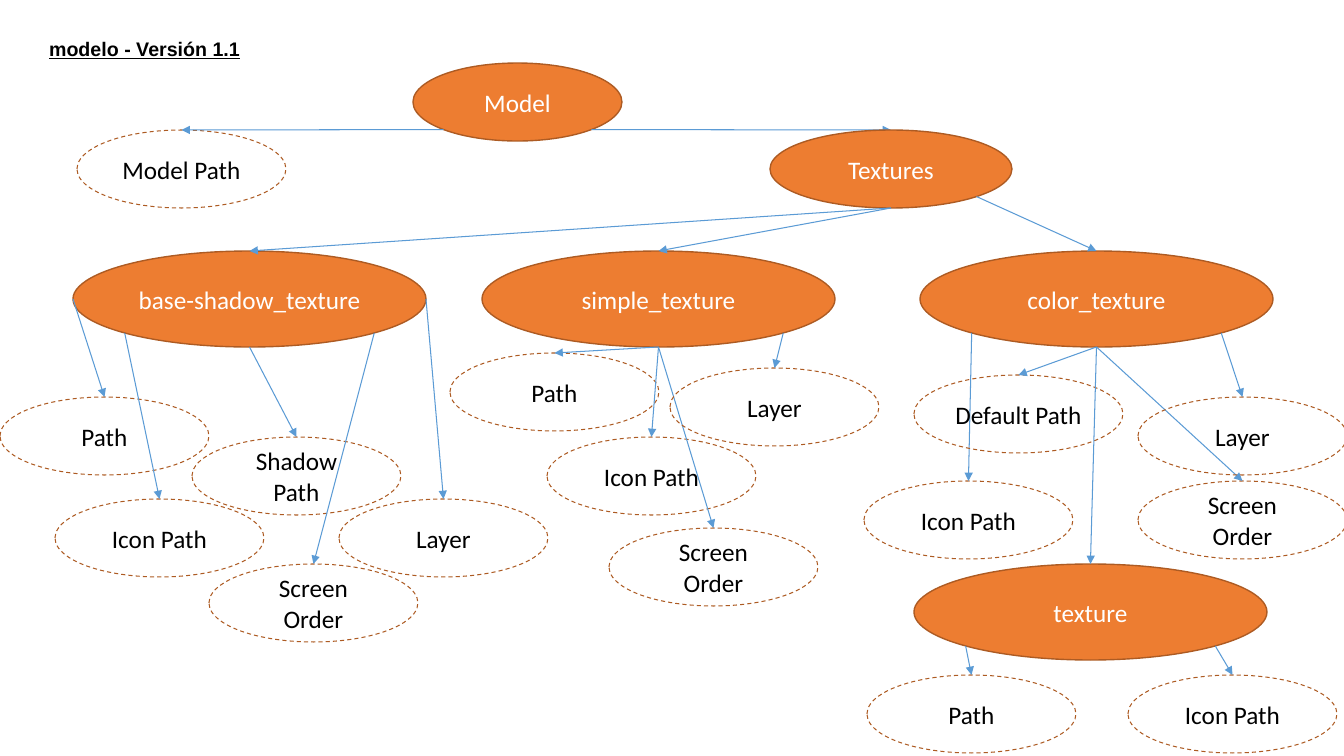
import math
import pptx
import pptx.util
import pptx.dml.color
import pptx.enum.dml
import pptx.enum.shapes
import pptx.enum.text
import pptx.oxml.ns
import lxml.etree

SCALE = 914400 / 100.8
ORANGE, RUST, BLUE = "ED7D31", "AD5B23", "5B9BD5"
BLACK, WHITE = "000000", "FFFFFF"
LEAF_SIZE = (209, 78)
TEXTURE_SIZE = (353, 96)
TOP, BOTTOM, LEFT, RIGHT = (0, -1), (0, 1), (-1, 0), (1, 0)
DIAGONAL = math.sqrt(0.5)
LOWER_LEFT, LOWER_RIGHT = (-DIAGONAL, DIAGONAL), (DIAGONAL, DIAGONAL)


def emu(pixels):
    """Turn pixels into EMU."""
    return pptx.util.Emu(round(pixels * SCALE))


def colour(value):
    """Turn a hex string into a colour."""
    return pptx.dml.color.RGBColor.from_string(value)


def add_span(para, text, size, font, value):
    """Add one formatted run to a paragraph."""
    span = para.add_run()
    span.text = text
    span.font.size = pptx.util.Pt(size)
    span.font.name = font
    span.font.color.rgb = colour(value)
    return span


def add_title(page, box, text):
    """Move and format the title placeholder."""
    title = page.shapes.title
    title.left, title.top, title.width, title.height = map(emu, box)
    frame = title.text_frame
    frame.word_wrap = True
    frame.auto_size = pptx.enum.text.MSO_AUTO_SIZE.NONE
    frame.vertical_anchor = pptx.enum.text.MSO_ANCHOR.TOP
    frame.margin_left = frame.margin_right = pptx.util.Inches(0.1)
    frame.margin_top = frame.margin_bottom = pptx.util.Inches(0.1)
    para = frame.paragraphs[0]
    para.alignment = pptx.enum.text.PP_ALIGN.LEFT
    span = add_span(para, text, 14, "Arial", BLACK)
    span.font.bold = span.font.underline = True


def add_node(page, box, label, filled):
    """Add an ellipse, solid for an element or dashed for an attribute."""
    node = page.shapes.add_shape(pptx.enum.shapes.MSO_SHAPE.OVAL, *map(emu, box))
    node.shadow.inherit = False
    node.line.color.rgb = colour(RUST)
    node.line.width = pptx.util.Pt(1 if filled else 0.75)
    if filled:
        node.fill.solid()
        node.fill.fore_color.rgb = colour(ORANGE)
    else:
        node.fill.background()
        node.line.dash_style = pptx.enum.dml.MSO_LINE.DASH
    frame = node.text_frame
    frame.word_wrap = True
    frame.vertical_anchor = pptx.enum.text.MSO_ANCHOR.MIDDLE
    for index, line in enumerate(label.split("\n")):
        para = frame.add_paragraph() if index else frame.paragraphs[0]
        para.alignment = pptx.enum.text.PP_ALIGN.CENTER
        add_span(para, line, 18, "Calibri", WHITE if filled else BLACK)


def rim_point(box, side):
    """Find the point of an ellipse that lies in a direction from its centre."""
    left, top, width, height = box
    return left + width * (1 + side[0]) / 2, top + height * (1 + side[1]) / 2


def add_link(page, parent, side, child):
    """Draw an arrow from one side of the parent to the top of the child."""
    ends = rim_point(parent, side) + rim_point(child, TOP)
    link = page.shapes.add_connector(
        pptx.enum.shapes.MSO_CONNECTOR.STRAIGHT, *map(emu, ends))
    link.line.color.rgb = colour(BLUE)
    link.line.width = pptx.util.Pt(0.75)
    qualify = pptx.oxml.ns.qn
    lxml.etree.SubElement(link.line._get_or_add_ln(), qualify("a:tailEnd"), type="triangle")
    lxml.etree.SubElement(link._element.spPr, qualify("a:effectLst"))


def add_branch(page, box, label, leaves):
    """Add an element with its attributes, offset from its corner."""
    add_node(page, box, label, True)
    for text, across, down, side in leaves:
        leaf = (box[0] + across, box[1] + down) + LEAF_SIZE
        add_node(page, leaf, text, False)
        add_link(page, box, side, leaf)


def add_tree(page):
    """Add all branches and the arrows between them."""
    model = (413, 63) + LEAF_SIZE
    textures = (770, 130, 242, 78)
    base, simple, color = [(left, 251) + TEXTURE_SIZE for left in (73, 482, 920)]
    texture = (914, 564) + TEXTURE_SIZE
    add_branch(page, model, "Model", [("Model Path", -336, 67, LOWER_LEFT)])
    add_link(page, model, LOWER_RIGHT, textures)
    add_branch(page, textures, "Textures", [])
    add_branch(page, base, "base-shadow_texture", [
        ("Path", -73, 146, LEFT),
        ("Icon Path", -18, 248, LOWER_LEFT),
        ("Shadow Path", 119, 186, BOTTOM),
        ("Screen\nOrder", 136, 313, LOWER_RIGHT),
        ("Layer", 266, 248, RIGHT)])
    add_branch(page, simple, "simple_texture", [
        ("Path", -32, 102, BOTTOM),
        ("Icon Path", 65, 186, BOTTOM),
        ("Screen\nOrder", 127, 277, BOTTOM),
        ("Layer", 188, 117, LOWER_RIGHT)])
    add_branch(page, color, "color_texture", [
        ("Icon Path", -56, 230, LOWER_LEFT),
        ("Screen\nOrder", 218, 230, BOTTOM),
        ("Layer", 218, 146, LOWER_RIGHT),
        ("Default Path", -6, 124, BOTTOM)])
    add_branch(page, texture, "texture", [
        ("Path", -47, 111, LOWER_LEFT),
        ("Icon Path", 214, 111, LOWER_RIGHT)])
    for parent, side, child in [
            (textures, BOTTOM, base), (textures, BOTTOM, simple),
            (textures, LOWER_RIGHT, color), (color, BOTTOM, texture)]:
        add_link(page, parent, side, child)


deck = pptx.Presentation()
deck.slide_width, deck.slide_height = emu(1344), emu(756)
page = deck.slides.add_slide(deck.slide_layouts[5])
add_title(page, (39, 27, 225, 36), "modelo - Versión 1.1")
add_tree(page)
deck.save("out.pptx")
